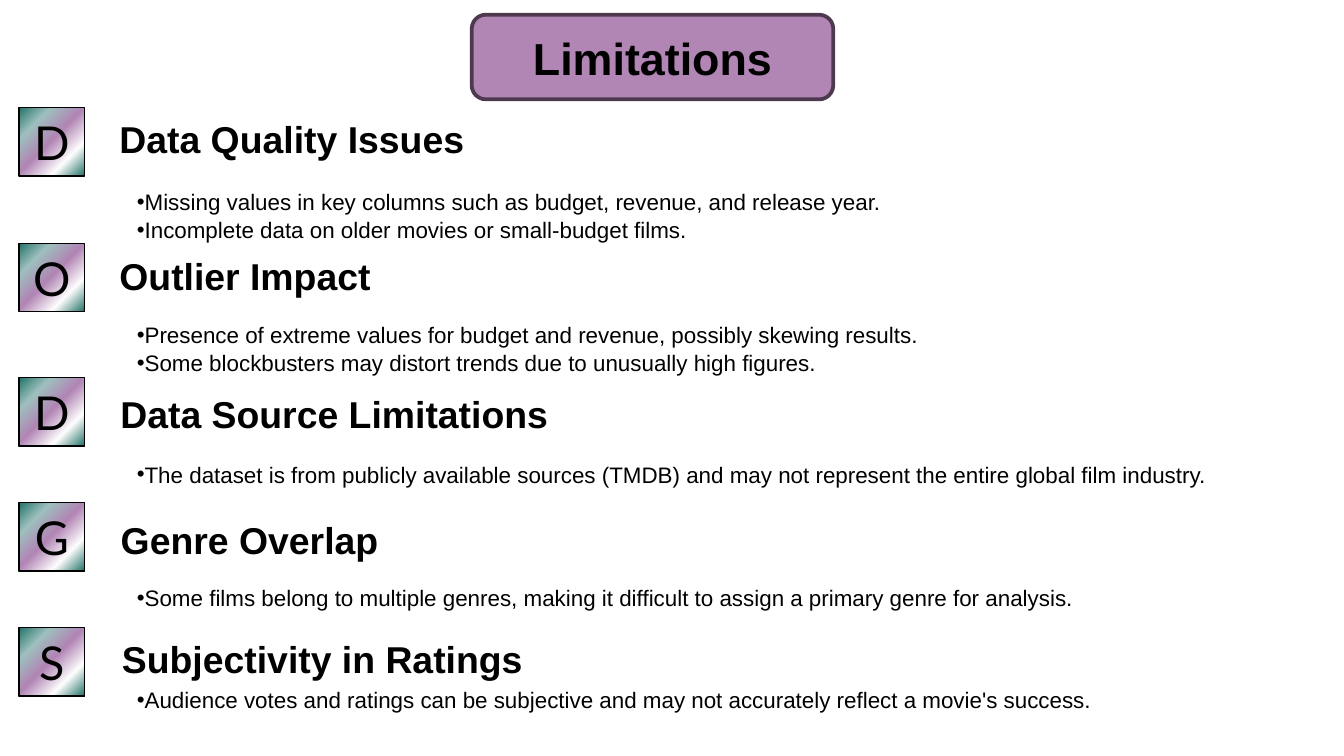
from dataclasses import dataclass

from lxml.etree import SubElement
from pptx import Presentation
from pptx.dml.color import RGBColor
from pptx.enum.shapes import MSO_SHAPE
from pptx.enum.text import MSO_ANCHOR, PP_ALIGN
from pptx.oxml.ns import qn
from pptx.util import Inches, Pt


@dataclass(frozen=True)
class Theme:
    ink: str = "000000"
    banner: str = "B185B4"
    banner_edge: str = "4E3A4F"
    badge_stops: tuple = ((0, "207368"), (24, "9EC0BE"), (49, "B185B4"),
                          (75, "FFFFFF"), (100, "207368"))
    font: str = "Arial"
    badge_font: str = "Lato"
    title_size: int = 24
    badge_size: int = 25
    heading_size: int = 20
    body_size: int = 12
    body_spacing: float = 1.05


@dataclass(frozen=True)
class Limitation:
    """Vertical and horizontal offsets count from the row's top left corner."""
    top: float
    heading: str
    heading_offset: tuple
    heading_width: float
    points: tuple
    points_drop: float
    points_width: float
    heading_align: PP_ALIGN = PP_ALIGN.LEFT


THEME = Theme()
ROW_LEFT = 0.14
LIMITATIONS = (
    Limitation(0.8, "Data Quality Issues", (0.65, 0.01), 2.92, (
        "Missing values in key columns such as budget, revenue, and release year.",
        "Incomplete data on older movies or small-budget films."), 0.54, 6.15),
    Limitation(1.81, "Outlier Impact", (0.65, 0.02), 2.35, (
        "Presence of extreme values for budget and revenue, possibly skewing results.",
        "Some blockbusters may distort trends due to unusually high figures."), 0.52, 6.63),
    Limitation(2.81, "Data Source Limitations", (0.48, 0.04), 3.56, (
        "The dataset is from publicly available sources (TMDB) and may not "
        "represent the entire global film industry.",), 0.56, 8.3, PP_ALIGN.RIGHT),
    Limitation(3.74, "Genre Overlap", (0.66, 0.05), 2.35, (
        "Some films belong to multiple genres, making it difficult to assign "
        "a primary genre for analysis.",), 0.55, 7.49),
    Limitation(4.67, "Subjectivity in Ratings", (0.6, 0.01), 3.25, (
        "Audience votes and ratings can be subjective and may not accurately "
        "reflect a movie's success.",), 0.38, 7.49, PP_ALIGN.RIGHT),
)


def write(shape, lines, size, font=THEME.font, bold=False, align=PP_ALIGN.LEFT,
          anchor=MSO_ANCHOR.TOP, inset=0.05, bullet=False):
    frame = shape.text_frame
    frame.word_wrap = True
    frame.vertical_anchor = anchor
    frame.margin_left = frame.margin_right = Inches(0.1)
    frame.margin_top = frame.margin_bottom = Inches(inset)
    frame.text = "\n".join(lines)
    for paragraph in frame.paragraphs:
        paragraph.alignment = align
        if bullet:
            paragraph.line_spacing = THEME.body_spacing
            add_bullet(paragraph)
        for run in paragraph.runs:
            run.font.name = font
            run.font.size = Pt(size)
            run.font.bold = bold
            run.font.color.rgb = RGBColor.from_string(THEME.ink)


def add_bullet(paragraph):
    properties = paragraph._p.get_or_add_pPr()
    properties.set("marL", "0")
    properties.set("indent", "0")
    SubElement(properties, qn("a:buFont"), typeface=THEME.font)
    SubElement(properties, qn("a:buChar"), char="•")


def add_text(slide, left, top, width, height, lines, size, **style):
    box = slide.shapes.add_textbox(Inches(left), Inches(top), Inches(width), Inches(height))
    write(box, lines, size, **style)


def add_outlined(slide, kind, left, top, width, height, edge, weight):
    shape = slide.shapes.add_shape(
        kind, Inches(left), Inches(top), Inches(width), Inches(height))
    shape.shadow.inherit = False
    shape.line.color.rgb = RGBColor.from_string(edge)
    shape.line.width = Pt(weight)
    return shape


def fill_gradient(shape, stops):
    """Fill with any number of stops, running from top left to bottom right."""
    shape.fill.gradient()
    gradient = shape._element.spPr.find(qn("a:gradFill"))
    stop_list = gradient.find(qn("a:gsLst"))
    for old_stop in list(stop_list):
        stop_list.remove(old_stop)
    for percent, color in stops:
        stop = SubElement(stop_list, qn("a:gs"), pos=str(percent * 1000))
        SubElement(stop, qn("a:srgbClr"), val=color)
    direction = gradient.find(qn("a:lin"))
    direction.set("ang", str(45 * 60000))
    direction.set("scaled", "0")


def add_banner(slide, left, top, width, height, title):
    banner = add_outlined(slide, MSO_SHAPE.ROUNDED_RECTANGLE, left, top, width, height,
                          THEME.banner_edge, 2)
    banner.fill.solid()
    banner.fill.fore_color.rgb = RGBColor.from_string(THEME.banner)
    title_width = 8.43
    add_text(slide, left + (width - title_width) / 2, top + 0.02, title_width, height,
             [title], THEME.title_size, bold=True, align=PP_ALIGN.CENTER, inset=0.1)


def add_limitation(slide, left, item):
    badge = add_outlined(slide, MSO_SHAPE.RECTANGLE, left, item.top, 0.49, 0.51,
                         THEME.ink, 0.75)
    fill_gradient(badge, THEME.badge_stops)
    write(badge, [item.heading[0]], THEME.badge_size, font=THEME.badge_font,
          align=PP_ALIGN.CENTER, anchor=MSO_ANCHOR.MIDDLE)
    shift, drop = item.heading_offset
    add_text(slide, left + shift, item.top + drop, item.heading_width, 0.49,
             [item.heading], THEME.heading_size, bold=True, align=item.heading_align,
             anchor=MSO_ANCHOR.BOTTOM, inset=0.1)
    add_text(slide, left + 0.78, item.top + item.points_drop, item.points_width, 0.57,
             item.points, THEME.body_size, bullet=True)


def main():
    deck = Presentation()
    deck.slide_width = Inches(10)
    deck.slide_height = deck.slide_width * 9 // 16
    slide = deck.slides.add_slide(deck.slide_layouts[6])
    add_banner(slide, 3.51, 0.11, 2.69, 0.63, "Limitations")
    for item in LIMITATIONS:
        add_limitation(slide, ROW_LEFT, item)
    deck.save("out.pptx")


if __name__ == "__main__":
    main()
